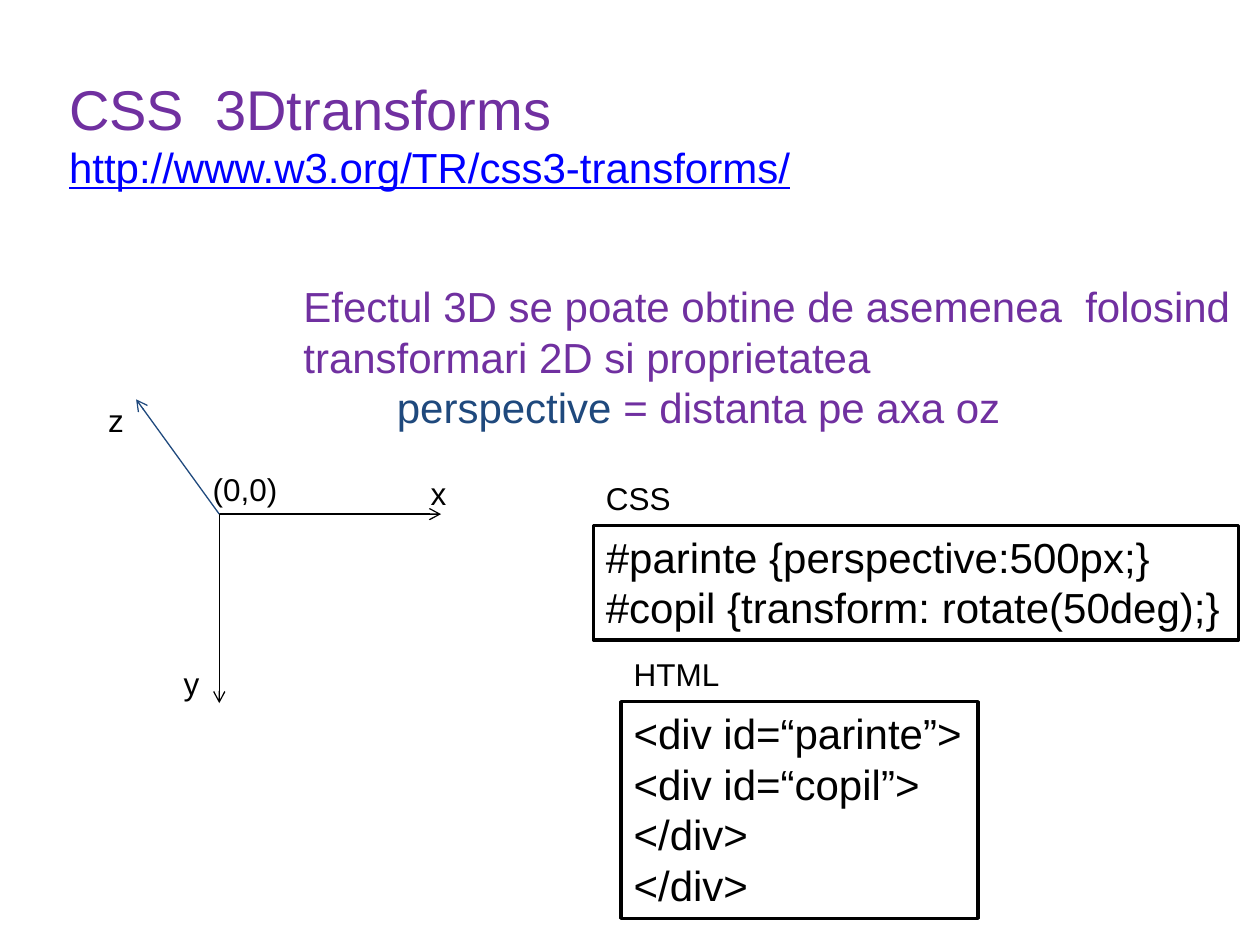
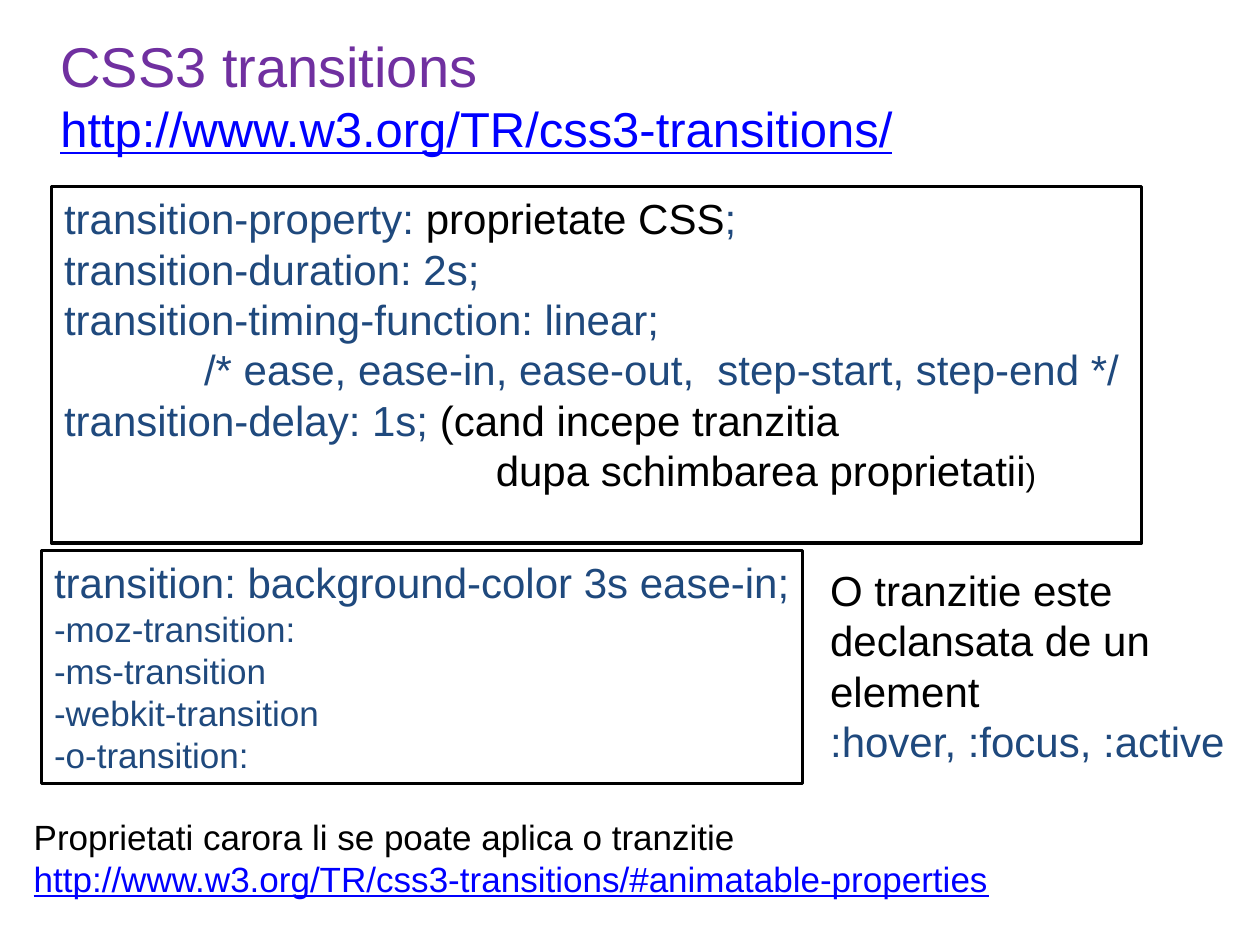
import pptx
import pptx.util
import pptx.dml.color
import pptx.enum.shapes
import pptx.enum.text
import pptx.oxml
import pptx.oxml.ns

Pt = pptx.util.Pt
COLORS = {"title": "7030A0", "code": "1F497D", "link": "0000FF",
          "ink": "000000", "paper": "FFFFFF"}


def rgb(name):
    return pptx.dml.color.RGBColor.from_string(COLORS[name])


def run(text, size=24, color="ink", underline=None):
    return {"text": text, "size": size, "color": color, "underline": underline}


def link(text, size):
    return run(text, size, "link", True)


class Deck:
    """Hold the style and the current slide, and draw elements on it."""

    font = "Arial"
    frame_width = 2
    axis_width = 0.75

    def __init__(self):
        self.prs = pptx.Presentation()
        self.prs.slide_width, self.prs.slide_height = Pt(720), Pt(540)

    def slide(self):
        self.s = self.prs.slides.add_slide(self.prs.slide_layouts[6])

    def fill_text(self, sp, lines, indents, inset_top=3.6):
        tf = sp.text_frame
        tf.word_wrap = True
        tf.vertical_anchor = pptx.enum.text.MSO_ANCHOR.TOP
        tf.margin_top = Pt(inset_top)
        for i, line in enumerate(lines):
            p = tf.add_paragraph() if i else tf.paragraphs[0]
            p.alignment = pptx.enum.text.PP_ALIGN.LEFT
            if i in indents:
                p._p.get_or_add_pPr().set("marL", str(Pt(indents[i])))
            for part in line if isinstance(line, list) else [line]:
                r = p.add_run()
                r.text = part["text"]
                r.font.name = self.font
                r.font.size = Pt(part["size"])
                r.font.color.rgb = rgb(part["color"])
                r.font.underline = part["underline"]

    def text(self, x, y, w, h, lines, indents={}, inset_top=3.6):
        sp = self.s.shapes.add_textbox(Pt(x), Pt(y), Pt(w), Pt(h))
        self.fill_text(sp, lines, indents, inset_top)

    def title(self, x, y, w, h, title, url, url_size, inset_top=3.6):
        lines = [run(title, 32, "title"), link(url, url_size)]
        self.text(x, y, w, h, lines, inset_top=inset_top)

    def label(self, x, y, w, text):
        self.text(x, y, w, 29, [run(text, 18)])

    def code_box(self, x, y, w, h, lines, indents={}):
        kind = pptx.enum.shapes.MSO_SHAPE.RECTANGLE
        sp = self.s.shapes.add_shape(kind, Pt(x), Pt(y), Pt(w), Pt(h))
        sp.shadow.inherit = False
        sp.fill.solid()
        sp.fill.fore_color.rgb = rgb("paper")
        sp.line.color.rgb = rgb("ink")
        sp.line.width = Pt(self.frame_width)
        self.fill_text(sp, lines, indents)

    def arrow(self, start, end, color="ink"):
        kind = pptx.enum.shapes.MSO_CONNECTOR.STRAIGHT
        sp = self.s.shapes.add_connector(kind, *map(Pt, start + end))
        sp.line.color.rgb = rgb(color)
        sp.line.width = Pt(self.axis_width)
        ns = pptx.oxml.ns.nsdecls("a")
        ln = sp.line._get_or_add_ln()
        ln.append(pptx.oxml.parse_xml(f'<a:tailEnd {ns} type="arrow"/>'))
        ln.addnext(pptx.oxml.parse_xml(f"<a:effectLst {ns}/>"))


def transforms_slide(deck):
    deck.slide()
    deck.title(32.4, 15.8, 606, 147.6, "CSS  3Dtransforms",
               "http://www.w3.org/TR/css3-transforms/", 24, inset_top=26.6)
    deck.code_box(339.1, 300.2, 368.6, 65.5, [
        run("#parinte {perspective:500px;}"),
        run("#copil {transform: rotate(50deg);}")])

    origin = (125.3, 293.8)
    deck.arrow(origin, (252, 293.8))
    deck.arrow(origin, (125.3, 401.8))
    deck.arrow(origin, (77.8, 228.2), "code")
    for x, y, w, text in [(114.5, 265, 52, "(0,0)"), (239, 267.1, 24, "x"),
                          (97.9, 375.8, 24, "y"), (54.7, 225.4, 24, "z"),
                          (339.1, 270, 52, "CSS"), (355, 370.8, 64, "HTML")]:
        deck.label(x, y, w, text)

    deck.text(166.3, 157, 549.4, 94.3, [
        run("Efectul 3D se poate obtine de asemenea  folosind", color="title"),
        run("transformari 2D si proprietatea ", color="title"),
        [run("perspective", color="code"),
         run(" = distanta pe axa oz", color="title")]], {2: 53.4})
    deck.code_box(355, 401, 203.8, 123.8, [
        run("<div id=“parinte”>"), run("<div id=“copil”>"),
        run("</div>"), run("</div>")])


def transitions_slide(deck):
    deck.slide()
    deck.title(27.4, 14.4, 496, 145.4, "CSS3 transitions",
               "http://www.w3.org/TR/css3-transitions/", 28)
    deck.code_box(29.5, 106.6, 622.8, 203.8, [
        [run("transition-property: ", color="code"), run("proprietate CSS"),
         run(";", color="code")],
        run("transition-duration: 2s;", color="code"),
        run("transition-timing-function: linear;", color="code"),
        run("/* ease, ease-in, ease-out,  step-start, step-end */", color="code"),
        [run("transition-delay: 1s; ", color="code"),
         run("(cand incepe tranzitia ")],
        [run("dupa schimbarea proprietatii"), run(")", 18)]],
        {3: 80, 5: 246.7})
    prefixed = ["-moz-transition:", "-ms-transition", "-webkit-transition",
                "-o-transition:"]
    deck.code_box(23.8, 314.6, 434.9, 133.2, [
        run("transition: background-color 3s ease-in; ", color="code"),
        *[run(text, 20, "code") for text in prefixed]])
    deck.text(12.2, 462.2, 607, 55.4, [
        run("Proprietati carora li se poate aplica o tranzitie", 20),
        link("http://www.w3.org/TR/css3-transitions/#animatable-properties", 20)])
    deck.text(467.3, 319, 281.5, 123.8, [
        run("O tranzitie este"), run("declansata de un "), run("element "),
        run(":hover, :focus, :active", color="code")])


deck = Deck()
transforms_slide(deck)
transitions_slide(deck)
deck.prs.save("out.pptx")
